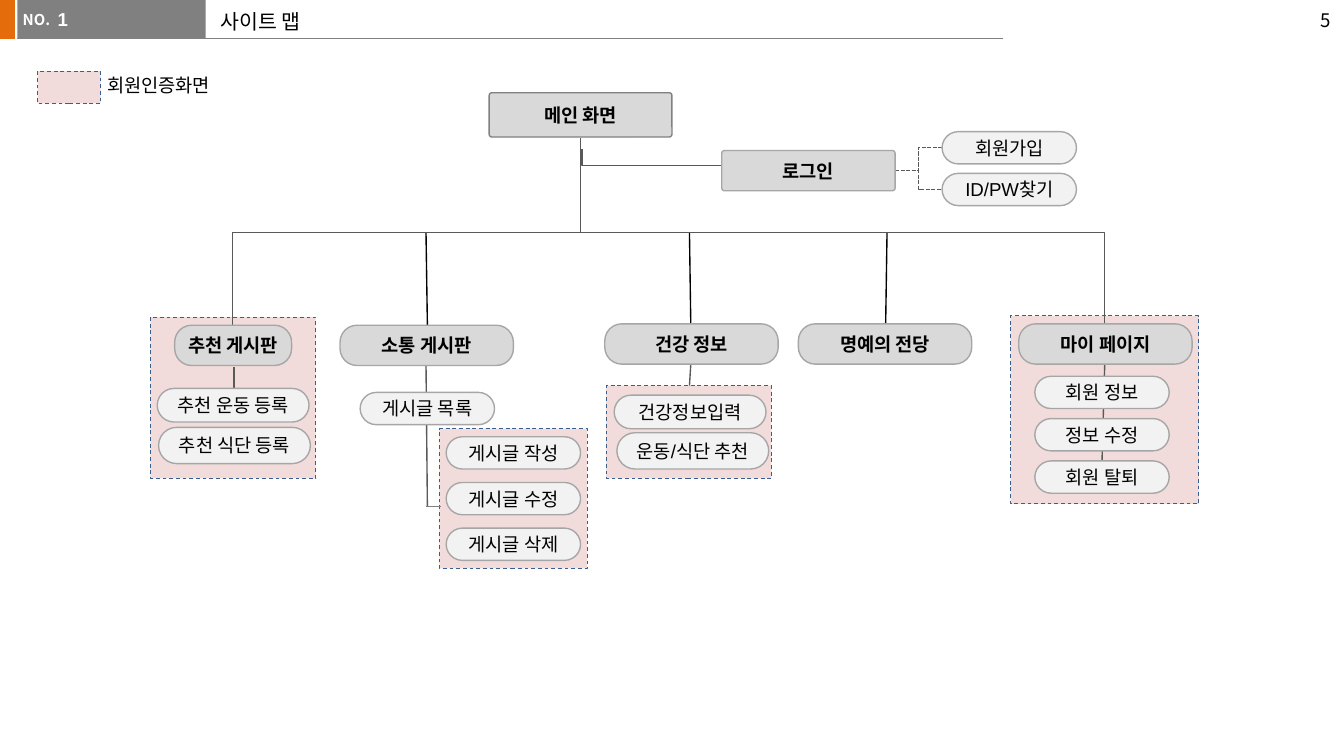
"""Build a site map slide with a header, page boxes and connecting lines."""
from typing import NamedTuple, Optional

from lxml.etree import SubElement
from pptx import Presentation
from pptx.dml.color import RGBColor
from pptx.enum.dml import MSO_LINE as Dash
from pptx.enum.shapes import MSO_CONNECTOR as Link, MSO_SHAPE as Preset
from pptx.enum.text import MSO_ANCHOR as Anchor, PP_ALIGN as Align
from pptx.oxml.ns import qn
from pptx.util import Inches, Pt

ORANGE = RGBColor(0xE4, 0x6C, 0x0A)
GRAY = RGBColor(0x80, 0x80, 0x80)
DARK_GRAY = RGBColor(0x59, 0x59, 0x59)
BORDER_GRAY = RGBColor(0xA6, 0xA6, 0xA6)
SECTION_FILL = RGBColor(0xD9, 0xD9, 0xD9)
PAGE_FILL = RGBColor(0xF2, 0xF2, 0xF2)
PINK = RGBColor(0xF2, 0xDC, 0xDB)
BLUE = RGBColor(0x3A, 0x5F, 0x8C)
BLACK = RGBColor(0, 0, 0)
WHITE = RGBColor(0xFF, 0xFF, 0xFF)
KOREAN = "Noto Sans CJK KR"
LATIN = "Arial"
SLIDE_WIDTH = 10
BUS_Y = 1.73


class Area(NamedTuple):
    left: float
    top: float
    width: float
    height: float


class Box(NamedTuple):
    text: str
    area: Area
    bold: bool = False
    corner: float = 0.5
    border: RGBColor = BORDER_GRAY


class Line(NamedTuple):
    start: tuple[float, float]
    end: tuple[float, float]
    color: RGBColor = DARK_GRAY
    weight: float = 0.75


def section(text: str, left: float, top: float, width: float = 1.29) -> Box:
    return Box(text, Area(left, top, width, 0.3), True, 0.42)


def page(text: str, left: float, top: float, width: float = 1, height: float = 0.24) -> Box:
    return Box(text, Area(left, top, width, height))


def write(shape, text: str, *, size: float = 10, font: str = KOREAN, color: RGBColor = BLACK,
          bold: bool = False, align: Align = Align.LEFT, before: float = 0) -> None:
    paragraph = shape.text_frame.paragraphs[0]
    paragraph.alignment = align
    paragraph.space_before = Pt(before)
    run = paragraph.add_run()
    run.text = text
    run.font.size = Pt(size)
    run.font.name = font
    run.font.bold = bold
    run.font.color.rgb = color
    east_asian = SubElement(run.font._element, qn("a:ea"))
    east_asian.set("typeface", KOREAN)


def add_label(text: str, area: Area, *, wrap: bool = True, anchor: Anchor = Anchor.TOP,
              side_inset: float = 0.1, **text_format) -> None:
    label = slide.shapes.add_textbox(*map(Inches, area))
    frame = label.text_frame
    frame.word_wrap = wrap
    frame.vertical_anchor = anchor
    frame.margin_left = frame.margin_right = Inches(side_inset)
    write(label, text, **text_format)


def add_area(area: Area, fill: RGBColor, preset: Preset = Preset.RECTANGLE):
    shape = slide.shapes.add_shape(preset, *map(Inches, area))
    shape.shadow.inherit = False
    shape.fill.solid()
    shape.fill.fore_color.rgb = fill
    shape.line.fill.background()
    return shape


def add_member_area(area: Area) -> None:
    shape = add_area(area, PINK)
    shape.line.color.rgb = BLUE
    shape.line.width = Pt(0.5)
    shape.line.dash_style = Dash.DASH


def add_box(box: Box) -> None:
    shape = add_area(box.area, SECTION_FILL if box.bold else PAGE_FILL, Preset.ROUNDED_RECTANGLE)
    shape.adjustments[0] = box.corner
    shape.line.color.rgb = box.border
    shape.line.width = Pt(0.75)
    frame = shape.text_frame
    frame.word_wrap = True
    frame.vertical_anchor = Anchor.MIDDLE
    frame.margin_left = frame.margin_right = Inches(0.02)
    frame.margin_top = frame.margin_bottom = Inches(0.02)
    write(shape, box.text, font=LATIN, bold=box.bold, align=Align.CENTER, before=1)


def add_line(line: Line, kind: Link = Link.STRAIGHT, dash: Optional[Dash] = None):
    connector = slide.shapes.add_connector(kind, *map(Inches, line.start + line.end))
    connector.line.color.rgb = line.color
    connector.line.width = Pt(line.weight)
    if dash is not None:
        connector.line.dash_style = dash
    SubElement(connector._element.spPr, qn("a:effectLst"))
    return connector


def add_vertical_elbow(start: tuple[float, float], end: tuple[float, float],
                       preset: str = "bentConnector3") -> None:
    (x1, y1), (x2, y2) = start, end
    center_x, center_y = (x1 + x2) / 2, (y1 + y2) / 2
    half_width, half_height = (y2 - y1) / 2, abs(x2 - x1) / 2
    rightward = x2 > x1
    if rightward:
        half_width = -half_width
    connector = add_line(Line((center_x - half_width, center_y - half_height),
                              (center_x + half_width, center_y + half_height)), Link.ELBOW)
    properties = connector._element.spPr
    properties.find(qn("a:xfrm")).set("rot", str((270 if rightward else 90) * 60000))
    properties.find(qn("a:prstGeom")).set("prst", preset)


MEMBER_AREAS = [
    Area(1.12, 2.36, 1.23, 1.2), Area(4.51, 2.87, 1.23, 0.69), Area(7.52, 2.35, 1.4, 1.4),
    Area(0.28, 0.53, 0.47, 0.24), Area(3.27, 3.19, 1.1, 1.04),
]
BOXES = [
    Box("메인 화면", Area(3.64, 0.69, 1.36, 0.33), True, 0.06, GRAY),
    Box("로그인", Area(5.37, 1.12, 1.29, 0.3), True, 0.07),
    page("회원가입", 7.01, 0.98),
    page("ID/PW찾기", 7.01, 1.29),
    section("추천 게시판", 1.3, 2.42, 0.87),
    section("소통 게시판", 2.53, 2.42),
    section("건강 정보", 4.5, 2.41),
    section("명예의 전당", 5.94, 2.41),
    section("마이 페이지", 7.58, 2.41),
    page("추천 운동 등록", 1.17, 2.89, 1.13, 0.25),
    page("추천 식단 등록", 1.18, 3.18, 1.13, 0.27),
    page("게시글 목록", 2.68, 2.92),
    page("건강정보입력", 4.57, 2.94, 1.13, 0.25),
    page("운동/식단 추천", 4.59, 3.22, 1.13, 0.27),
]
BOXES += [page(f"게시글 {action}", 3.32, 3.25 + 0.34 * row)
          for row, action in enumerate(("작성", "수정", "삭제"))]
BOXES += [page(text, 7.7, 2.8 + 0.63 * row / 2)
          for row, text in enumerate(("회원 정보", "정보 수정", "회원 탈퇴"))]
LINES = [
    Line((5.14, 2.71), (5.13, 2.87)),
    Line((3.17, 2.71), (3.18, 3.77)),
    Line((3.17, 3.77), (3.28, 3.77), GRAY),
    Line((8.22, 2.71), (8.2, 3.43)),
    Line((1.74, 2.73), (1.74, 2.91)),
    Line((3.17, BUS_Y), (3.18, 2.42), BLACK),
    Line((5.13, BUS_Y), (5.14, 2.41), BLACK),
    Line((6.6, BUS_Y), (6.59, 2.41), BLACK),
]

presentation = Presentation()
presentation.slide_width = Inches(SLIDE_WIDTH)
presentation.slide_height = Inches(SLIDE_WIDTH * 9 / 16)
slide = presentation.slides.add_slide(presentation.slide_layouts[6])

add_area(Area(-0.01, 0, 0.12, 0.29), ORANGE)
add_line(Line((0.13, 0.29), (7.46, 0.29), GRAY, 0.5))
add_area(Area(0.13, 0, 1.4, 0.29), GRAY)
add_label("NO.", Area(0.07, 0.03, 0.41, 0.24), wrap=False, size=8, color=WHITE, bold=True)
add_label("1", Area(0.43, 0.01, 1.1, 0.31), side_inset=0, font=LATIN, color=WHITE, bold=True,
          before=2)
add_label("사이트 맵", Area(1.54, 0.02, 5.91, 0.32), size=11)
add_label("5", Area(9.4, 0, 0.6, 0.3), anchor=Anchor.MIDDLE, align=Align.RIGHT)
for member_area in MEMBER_AREAS:
    add_member_area(member_area)
add_label("회원인증화면", Area(0.7, 0.5, 1.04, 0.27), wrap=False)
for straight in LINES:
    add_line(straight)
for target_y in (1.1, 1.41):
    add_line(Line((6.66, 1.27), (7.01, target_y)), Link.ELBOW, Dash.SQUARE_DOT)
for branch_x in (1.73, 8.22):
    add_vertical_elbow((4.32, 1.03), (branch_x, 2.43))
add_vertical_elbow((4.33, 1.11), (5.37, 1.23), "bentConnector2")
for site_box in BOXES:
    add_box(site_box)

presentation.save("out.pptx")
